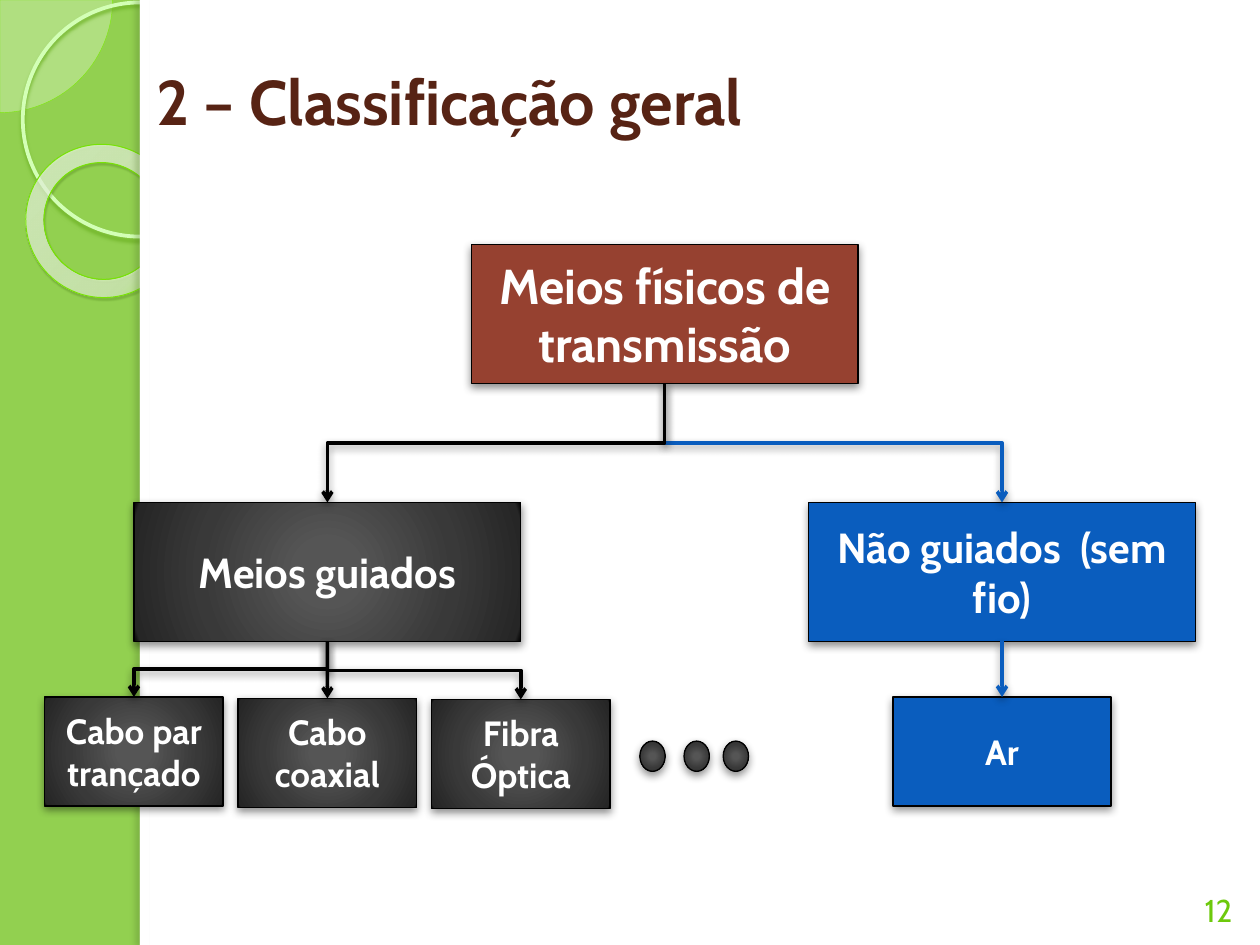
import lxml.etree
import pptx
import pptx.dml.color
import pptx.enum.shapes
import pptx.enum.text
import pptx.oxml.ns
import pptx.util

Cm = pptx.util.Cm
qn = pptx.oxml.ns.qn
SHAPE = pptx.enum.shapes.MSO_SHAPE
CONNECTOR = pptx.enum.shapes.MSO_CONNECTOR
ANCHOR = pptx.enum.text.MSO_ANCHOR
ALIGN = pptx.enum.text.PP_ALIGN

# Content: name, text, centre x, top, width, height (cm), fill, text size
TITLE = "2 – Classificação geral"
PAGE_NUMBER = "12"
BOXES = [
    ("media", "Meios físicos de transmissão", 13.4, 4.93, 7.8, 2.8, "brown", 28),
    ("guided", "Meios guiados", 6.6, 10.13, 7.8, 2.8, "dark", 24),
    ("unguided", "Não guiados  (sem fio)", 20.2, 10.13, 7.8, 2.8, "blue", 24),
    ("coaxial", "Cabo coaxial", 6.6, 14.08, 3.6, 2.2, "dark", 20),
    ("twisted pair", "Cabo par trançado", 2.7, 14.05, 3.6, 2.2, "dark", 20),
    ("fibre", "Fibra Óptica", 10.5, 14.1, 3.6, 2.2, "dark", 20),
    ("air", "Ar", 20.2, 14.05, 4.4, 2.2, "blue", 20),
]
LINKS = [
    ("media", "unguided", "blue"), ("media", "guided", "black"),
    ("guided", "twisted pair", "black"), ("guided", "fibre", "black"),
    ("guided", "coaxial", "black"), ("unguided", "air", "blue"),
]
DOT_LEFTS = [12.9, 13.79, 14.58]

COLORS = {
    "background": "92D050", "white": "FFFFFF", "black": "000000", "brown": "964130",
    "blue": "0A5DBE", "title": "572314", "number": "6DC90C", "pie": "EEFFE4",
    "pie line": "7FE90E", "ring": "D3FFB6", "donut line": "77E403",
}
# Gradient: stops (percent, colour, opacity) and centre rectangle (percent)
GRADIENTS = {
    "dark": ([(0, "555555", 100), (15, "555555", 100), (62, "393939", 100),
              (97, "262626", 100), (100, "000000", 100)], (50, 50, 50, 50)),
    "donut": ([(0, "F4FFEE", 70), (70, "FAFFF6", 55), (100, "83FE00", 60)],
              (-408, -50, 508, 150)),
}
# Shadow: colour, opacity, blur and distance (pt), direction (degrees)
SHADOWS = {
    "box": ("000000", 43, 5, 2, 90), "ring": ("6DB224", 85, 2, 2, 90),
    "donut": ("366406", 35, 1, 1.2, 75), "panel": ("496A25", 25, 3, 3, 180),
}


def rgb(name):
    return pptx.dml.color.RGBColor.from_string(COLORS[name])


def add_element(parent, tag, **attributes):
    element = lxml.etree.SubElement(parent, qn(tag))
    for key, value in attributes.items():
        element.set(key, str(value))
    return element


def add_color(parent, color, opacity):
    color_element = add_element(parent, "a:srgbClr", val=color)
    add_element(color_element, "a:alpha", val=opacity * 1000)


def add_shadow(effects, name):
    color, opacity, blur, distance, direction = SHADOWS[name]
    shadow = add_element(effects, "a:outerShdw", blurRad=pptx.util.Pt(blur),
                         dist=pptx.util.Pt(distance), dir=direction * 60000,
                         algn="ctr", rotWithShape=0)
    add_color(shadow, color, opacity)


def fill_gradient(shape, name):
    stops, center = GRADIENTS[name]
    shape.fill.background()
    placeholder_fill = shape.element.spPr.find(qn("a:noFill"))
    gradient = lxml.etree.Element(qn("a:gradFill"), rotWithShape="1")
    stop_list = add_element(gradient, "a:gsLst")
    for position, color, opacity in stops:
        add_color(add_element(stop_list, "a:gs", pos=position * 1000), color, opacity)
    path = add_element(gradient, "a:path", **{"path": "circle"})
    sides = {side: value * 1000 for side, value in zip("ltrb", center)}
    add_element(path, "a:fillToRect", **sides)
    shape.element.spPr.replace(placeholder_fill, gradient)


def add_shape(kind, left, top, width, height, fill=None, line=None, line_width=0.75, shadow=None):
    shape = slide.shapes.add_shape(kind, Cm(left), Cm(top), Cm(width), Cm(height))
    if fill in GRADIENTS:
        fill_gradient(shape, fill)
    elif fill:
        shape.fill.solid()
        shape.fill.fore_color.rgb = rgb(fill)
    else:
        shape.fill.background()
    if line:
        shape.line.color.rgb = rgb(line)
        shape.line.width = pptx.util.Pt(line_width)
    else:
        shape.line.fill.background()
    shape.shadow.inherit = False
    if shadow:
        add_shadow(shape.element.spPr.find(qn("a:effectLst")), shadow)
    return shape


def write_text(shape, text, size, color="white", bold=True, align=ALIGN.CENTER,
               anchor=ANCHOR.MIDDLE):
    frame = shape.text_frame
    frame.word_wrap = True
    frame.auto_size = pptx.enum.text.MSO_AUTO_SIZE.NONE
    frame.vertical_anchor = anchor
    paragraph = frame.paragraphs[0]
    paragraph.alignment = align
    run = paragraph.add_run()
    run.text = text
    run.font.name = "Cabin"
    run.font.size = pptx.util.Pt(size)
    run.font.bold = bold
    run.font.color.rgb = rgb(color)


def add_link(start, end, color):
    start_x, end_x = start.left + start.width // 2, end.left + end.width // 2
    start_y, end_y = start.top + start.height, end.top
    bent = abs(end_x - start_x) > Cm(0.1)
    kind = CONNECTOR.ELBOW if bent else CONNECTOR.STRAIGHT
    connector = slide.shapes.add_connector(kind, start_x, start_y, end_x, end_y)
    connector.begin_connect(start, 2)
    connector.end_connect(end, 0)
    if bent:
        # A quarter turn makes the elbow leave downwards
        width, height = end_y - start_y, abs(end_x - start_x)
        connector.left = (start_x + end_x - width) // 2
        connector.top = (start_y + end_y - height) // 2
        connector.width, connector.height = width, height
        to_right = end_x > start_x
        transform = connector.element.spPr.find(qn("a:xfrm"))
        transform.set("rot", str((270 if to_right else 90) * 60000))
        transform.set("flipH", "1" if to_right else "0")
        transform.set("flipV", "0")
    connector.line.color.rgb = rgb(color)
    connector.line.width = pptx.util.Pt(2)
    properties = connector.element.spPr
    add_element(properties.find(qn("a:ln")), "a:tailEnd", type="arrow")
    add_shadow(add_element(properties, "a:effectLst"), "box")


presentation = pptx.Presentation()
presentation.slide_width, presentation.slide_height = Cm(25.4), Cm(19.05)
slide = presentation.slides.add_slide(presentation.slide_layouts[5])
slide.background.fill.solid()
slide.background.fill.fore_color.rgb = rgb("background")

# Side decoration and white panel
pie = add_shape(SHAPE.PIE, -2.27, -2.27, 4.54, 4.54, "pie", "pie line", 0.25)
pie.adjustments[0], pie.adjustments[1] = 0, 54
pie_color = pie.element.spPr.find(qn("a:solidFill")).find(qn("a:srgbClr"))
add_element(pie_color, "a:alpha", val=33000)
add_shape(SHAPE.OVAL, 0.46, 0.05, 4.72, 4.72, None, "ring", 2.15, "ring")
donut = add_shape(SHAPE.DONUT, 0.51, 2.92, 3.12, 3.07, "donut", "donut line", 0.58, "donut")
donut.adjustments[0] = 0.12
donut.rotation = 38.6
add_shape(SHAPE.RECTANGLE, 2.82, 0, 22.58, 19.05, "white")
add_shape(SHAPE.RECTANGLE, 2.82, 0, 0.2, 19.05, "white", shadow="panel")

# Page number
number_box = slide.shapes.add_textbox(Cm(23.93), Cm(17.53), Cm(1.27), Cm(1.32))
write_text(number_box, PAGE_NUMBER, 18, color="number", bold=False, anchor=ANCHOR.BOTTOM)

# Tree boxes and links
boxes = {}
for name, text, center, top, width, height, fill, size in BOXES:
    boxes[name] = add_shape(SHAPE.RECTANGLE, center - width / 2, top, width, height,
                            fill, "black", shadow="box")
    write_text(boxes[name], text, size)
for start_name, end_name, color in LINKS:
    add_link(boxes[start_name], boxes[end_name], color)

# Dots standing for further guided media
for left in DOT_LEFTS:
    add_shape(SHAPE.OVAL, left, 14.94, 0.51, 0.61, "dark", "black", shadow="box")

# Title, raised above the white panel
title = slide.shapes.title
title.left, title.top, title.width, title.height = Cm(2.9), Cm(0.43), Cm(22.1), Cm(3.18)
write_text(title, TITLE, 36, color="title", align=ALIGN.LEFT)
title.element.getparent().append(title.element)

presentation.save("out.pptx")
